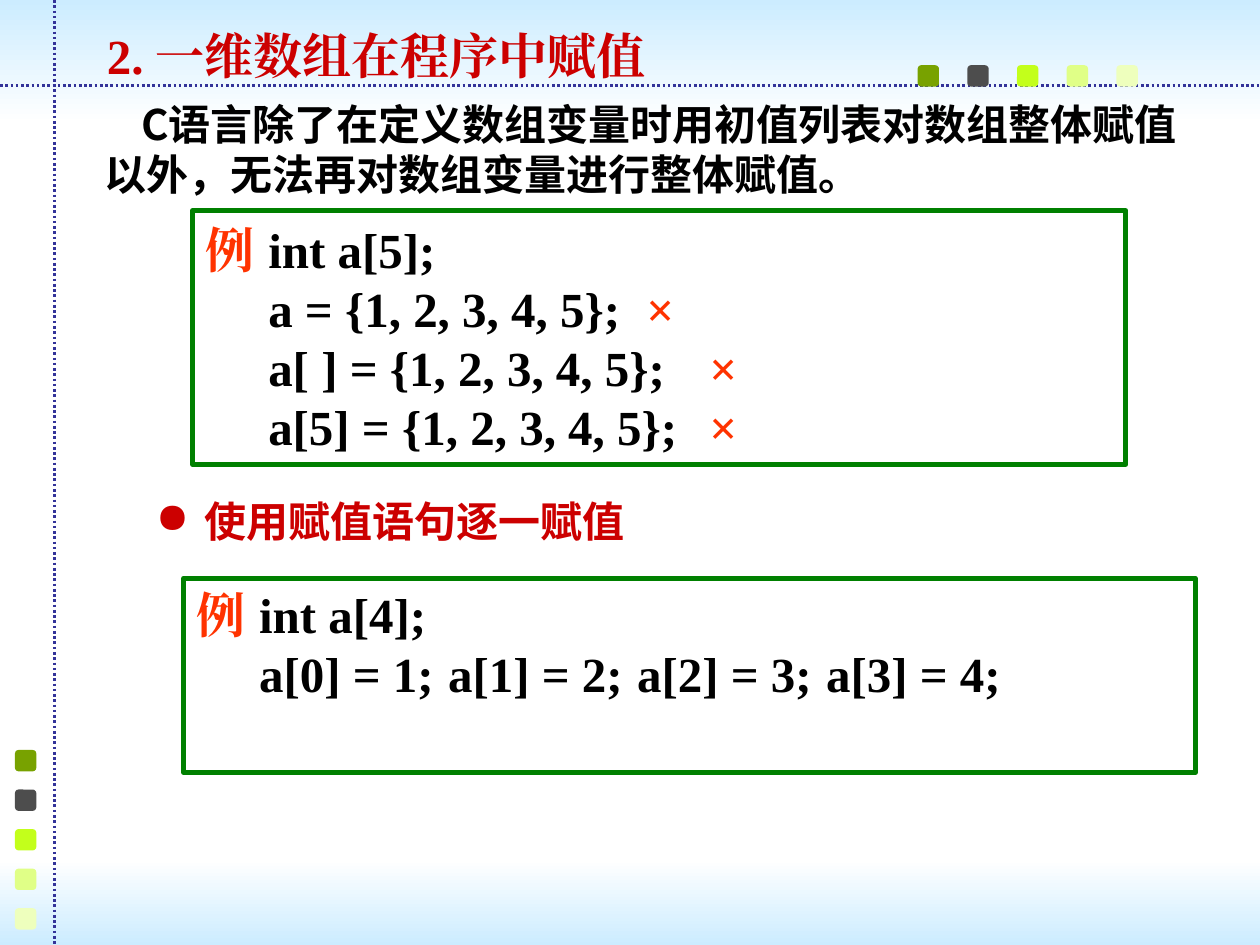
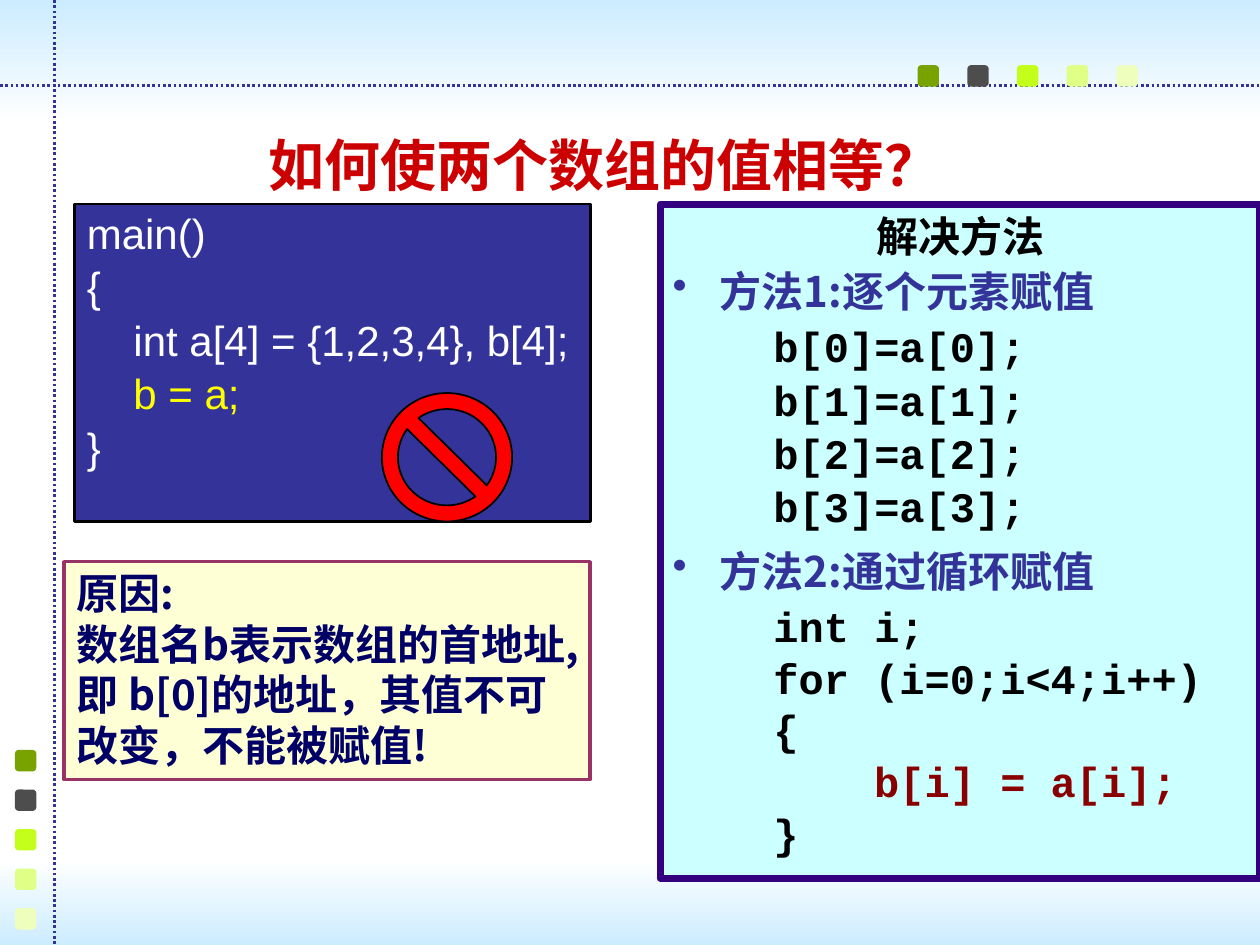
from dataclasses import dataclass
from typing import Optional

from lxml.etree import SubElement
from pptx import Presentation
from pptx.dml.color import RGBColor
from pptx.enum.dml import MSO_LINE
from pptx.enum.shapes import MSO_CONNECTOR, MSO_SHAPE
from pptx.enum.text import MSO_ANCHOR, PP_ALIGN
from pptx.oxml.ns import qn
from pptx.util import Pt

HUES = {
    "sky": "CCECFF", "white": "FFFFFF", "black": "000000", "blue": "333399",
    "red": "CC0000", "flame": "FF3300", "green": "008000", "ban": "FF0000",
    "yellow": "FFFF00", "ice": "CCFFFF", "violet": "330080", "wine": "880000",
    "cream": "FFFFCC", "plum": "993366", "navy": "000066",
    "olive": "78A200", "gray": "4D4D4D", "lime": "C3FF1B",
    "pale": "E0FF87", "mist": "EEFFBD",
}
DOTS = ("olive", "gray", "lime", "pale", "mist")
SANS, SERIF, MONO = "Noto Sans CJK SC", "Times New Roman", "Courier New"
WIDE, HIGH = 720, 540


@dataclass(frozen=True)
class Box:
    left: float
    top: float
    width: float
    height: float
    fill: Optional[str] = None
    edge: Optional[str] = None
    weight: float = 1
    alpha: int = 100
    kind: MSO_SHAPE = MSO_SHAPE.RECTANGLE
    adjust: Optional[float] = None
    middle: bool = False


@dataclass(frozen=True)
class Rule:
    x: float
    y: float
    end_x: float
    end_y: float


def hue(name: str) -> RGBColor:
    return RGBColor.from_string(HUES[name])


def draw(slide, box: Box):
    spot = [Pt(v) for v in (box.left, box.top, box.width, box.height)]
    if box.fill or box.edge:
        shape = slide.shapes.add_shape(box.kind, *spot)
        shape.shadow.inherit = False
        if box.adjust is not None:
            shape.adjustments[0] = box.adjust
        if box.fill:
            shape.fill.solid()
            shape.fill.fore_color.rgb = hue(box.fill)
            if box.alpha < 100:
                tone = shape.fill._xPr.find(qn("a:solidFill"))[0]
                SubElement(tone, qn("a:alpha")).set("val", str(box.alpha * 1000))
        else:
            shape.fill.background()
        if box.edge:
            shape.line.color.rgb = hue(box.edge)
            shape.line.width = Pt(box.weight)
        else:
            shape.line.fill.background()
    else:
        shape = slide.shapes.add_textbox(*spot)
    frame = shape.text_frame
    frame.word_wrap = True
    frame.vertical_anchor = MSO_ANCHOR.MIDDLE if box.middle else MSO_ANCHOR.TOP
    return shape


def write(frame, text: str, *, tail: str = "", tint: str = "black",
          shade: str = "black", size: float = 24, font: str = SANS,
          bold: bool = True, lead: float = 0, gap: float = 0,
          left: float = 0, first: float = 0, bullet: str = "",
          tabs: tuple = (), align=PP_ALIGN.LEFT) -> None:
    par = frame.paragraphs[0] if not frame.text else frame.add_paragraph()
    par.alignment = align
    par.line_spacing = Pt(lead or size * 1.2)
    par.space_before = Pt(gap)
    props = par._p.get_or_add_pPr()
    props.set("marL", str(Pt(left)))
    props.set("indent", str(Pt(first)))
    if bullet:
        SubElement(props, qn("a:buChar")).set("char", bullet)
    else:
        SubElement(props, qn("a:buNone"))
    if tabs:
        stops = SubElement(props, qn("a:tabLst"))
        for place in tabs:
            stop = SubElement(stops, qn("a:tab"))
            stop.set("pos", str(Pt(place)))
            stop.set("algn", "l")
    for part, tone in ((text, tint), (tail, shade)):
        if part:
            run = par.add_run()
            run.text = part
            run.font.size = Pt(size)
            run.font.bold = bold
            run.font.name = font
            run.font.color.rgb = hue(tone)
            east = SubElement(run._r.get_or_add_rPr(), qn("a:ea"))
            east.set("typeface", font)


def band(slide, top: float, height: float, start: str, end: str) -> None:
    shape = draw(slide, Box(0, top, WIDE, height, fill=start))
    shape.fill.gradient()
    shape.fill.gradient_angle = 270
    for stop, name in zip(shape.fill.gradient_stops, (start, end)):
        stop.color.rgb = hue(name)


def rule(slide, path: Rule) -> None:
    line = slide.shapes.add_connector(
        MSO_CONNECTOR.STRAIGHT, Pt(path.x), Pt(path.y), Pt(path.end_x), Pt(path.end_y))
    line.line.color.rgb = hue("blue")
    line.line.width = Pt(1.5)
    line.line.dash_style = MSO_LINE.ROUND_DOT
    SubElement(line._element.spPr, qn("a:effectLst"))


def base(deck):
    slide = deck.slides.add_slide(deck.slide_layouts[6])
    band(slide, 0, 71, "sky", "white")
    band(slide, 491, 49, "white", "sky")
    rule(slide, Rule(0, 49, WIDE, 49))
    for i, name in enumerate(DOTS):
        for x, y in ((524.4 + 28.4 * i, 37.3), (8.6, 428.6 + 22.6 * i)):
            draw(slide, Box(x, y, 12.2, 12.2, fill=name,
                            kind=MSO_SHAPE.ROUNDED_RECTANGLE, adjust=0.167))
    rule(slide, Rule(31, 0, 31, HIGH))
    return slide


def assign(deck) -> None:
    slide = base(deck)
    head = draw(slide, Box(54, 10.8, 385, 41)).text_frame
    write(head, "2. 一维数组在程序中赋值", tint="red", size=28, font=SERIF)
    note = draw(slide, Box(52.6, 52.6, 641, 65, middle=True)).text_frame
    write(note, "C语言除了在定义数组变量时用初值列表对数组整体赋值以外，无法再对数组变量进行整体赋值。",
          first=21)

    code = dict(size=28, font=SERIF)
    wrong = draw(slide, Box(110.2, 120.4, 533, 145, edge="green", weight=3,
                            middle=True)).text_frame
    write(wrong, "例", tail="\tint a[5];", tint="flame", tabs=(47.4,), **code)
    for name in ("a", "a[ ]", "a[5]"):
        write(wrong, f"\t{name} = {{1, 2, 3, 4, 5}};", tail="\t×", shade="flame",
              tabs=(42.2, 311), **code)

    point = draw(slide, Box(82, 279.4, 298, 36, middle=True)).text_frame
    write(point, "使用赋值语句逐一赋值", tint="red", left=28, first=-28, bullet="●")

    right = draw(slide, Box(105, 330.5, 578, 111, edge="green", weight=3)).text_frame
    write(right, "例", tail="\tint a[4];", tint="flame", tabs=(53.7,), **code)
    steps = [f"a[{i}] = {i + 1};" for i in range(4)]
    write(right, "\t" + "\t".join(steps),
          tabs=tuple(49 + 113.7 * i for i in range(4)), **code)


def equate(deck) -> None:
    slide = base(deck)
    head = draw(slide, Box(36.7, 49, 618, 90, middle=True)).text_frame
    write(head, "如何使两个数组的值相等？", tint="red", size=32, align=PP_ALIGN.CENTER)

    main = draw(slide, Box(42.5, 116.6, 295, 181.4, fill="blue", edge="black",
                           weight=1.5)).text_frame
    for text, tint, left in (("main()", "white", 0), ("{", "white", 0),
                             ("int a[4] = {1,2,3,4}, b[4];", "white", 26.7),
                             ("b = a;", "yellow", 26.7), ("}", "white", 0)):
        write(main, text, tint=tint, left=left, font="Arial", bold=False,
              lead=27, gap=3.6)

    ways = draw(slide, Box(377.3, 116.6, 342.7, 385.2, fill="ice", edge="violet",
                           weight=4)).text_frame
    item = dict(tint="blue", left=27, first=-27, bullet="•")
    write(ways, "解决方法", align=PP_ALIGN.CENTER)
    write(ways, "方法1:逐个元素赋值", gap=2.6, **item)
    for i in range(4):
        write(ways, f"b[{i}]=a[{i}];", font=MONO, left=57.6, gap=1.6 if i else 3)
    write(ways, "方法2:通过循环赋值", gap=8.3, **item)
    for text, tint, left, gap in (("int i;", "black", 57.6, 2.6),
                                  ("for (i=0;i<4;i++)", "black", 57.6, 0.8),
                                  ("{", "black", 57.6, 0.8),
                                  ("b[i] = a[i];", "wine", 115.2, 0.8),
                                  ("}", "black", 57.6, 0.8)):
        write(ways, text, tint=tint, font=MONO, left=left, gap=gap)

    cause = draw(slide, Box(36.7, 321, 300.5, 124.5, fill="cream", edge="plum",
                            weight=2, alpha=81)).text_frame
    for text in ("原因:", "数组名b表示数组的首地址,即 b[0]的地址，其值不可改变，不能被赋值!"):
        write(cause, text, tint="navy")
    draw(slide, Box(218.2, 224.6, 74.4, 73.4, fill="ban", edge="black",
                    kind=MSO_SHAPE.NO_SYMBOL, adjust=0.125))


deck = Presentation()
deck.slide_width, deck.slide_height = Pt(WIDE), Pt(HIGH)
assign(deck)
equate(deck)
deck.save("out.pptx")
